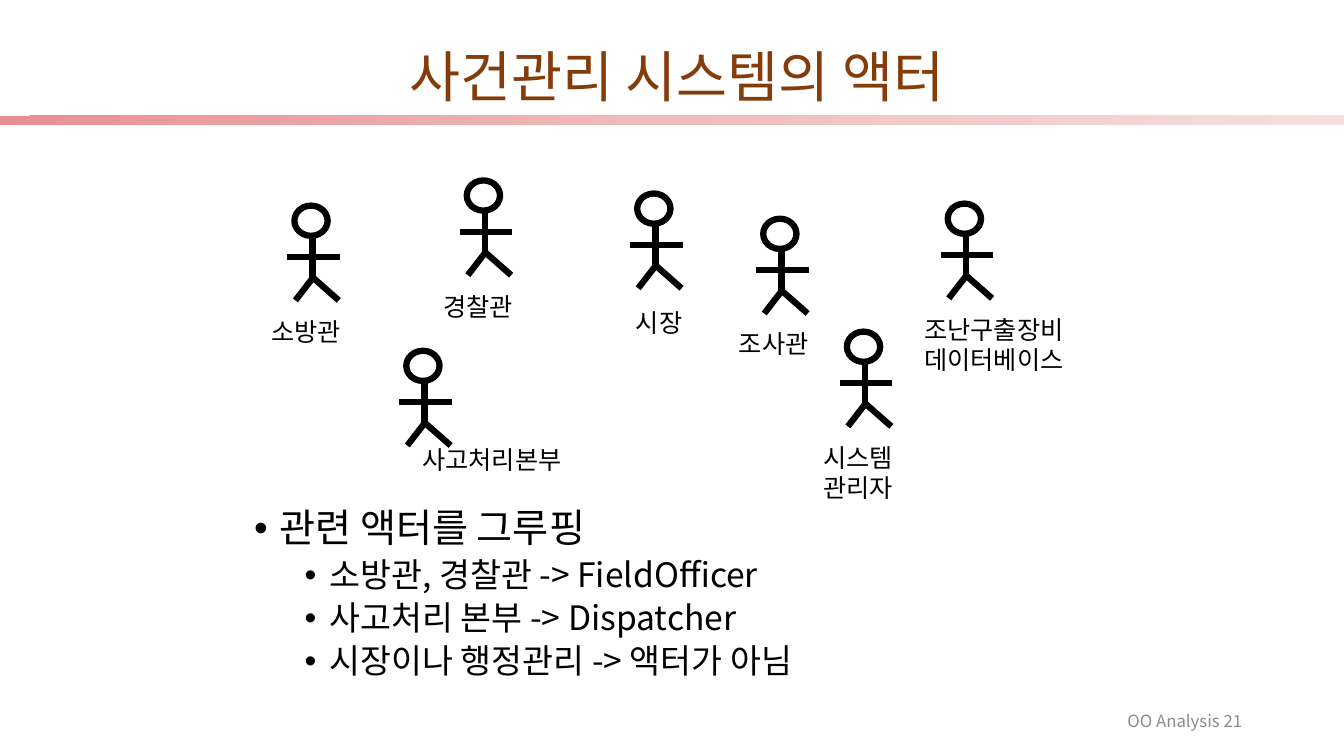
"""Build a slide of stick-figure actors with a grouping list below."""
from copy import deepcopy

from lxml import etree
from pptx import Presentation
from pptx import util as u
from pptx.dml.color import RGBColor
from pptx.enum import shapes, text
from pptx.oxml.ns import qn

W, H = 13.33, 7.5
SANS, LABEL = "Noto Sans CJK KR", "Karla"
TITLE = "사건관리 시스템의 액터"
FOOTER = "OO Analysis 21"
BAND = ["E98F8F", "EFBCBC", "F7DEDE"]
BULLETS = [
    (0, "관련 액터를 그루핑"),
    (1, "소방관, 경찰관 -> FieldOfficer"),
    (1, "사고처리 본부 -> Dispatcher"),
    (1, "시장이나 행정관리 -> 액터가 아님"),
]
LEVELS = [(28, 10, 0.25), (24, 5, 0.75)]
ACTORS = [
    ((2.85, 2.04), (2.59, 3.09, 0.95), ["소방관"]),
    ((4.56, 1.79), (4.3, 2.84, 0.95), ["경찰관"]),
    ((3.96, 3.48), (4.09, 4.36, 1.7), ["사고처리본부"]),
    ((6.25, 1.92), (6.21, 3, 0.7), ["시장"]),
    ((7.5, 2.17), (7.23, 3.21, 0.95), ["조사관"]),
    ((9.33, 2.02), (9.07, 3.07, 1.7), ["조난구출장비", "데이터베이스"]),
    ((8.33, 3.29), (8.07, 4.34, 0.95), ["시스템", "관리자"]),
]
HEAD = (0.07, 0, 0.33, 0.3)
LIMBS = [
    (0, 0.51, 0.52, 0.51),
    (0.25, 0.31, 0.25, 0.75),
    (0.25, 0.72, 0.08, 0.94),
    (0.26, 0.72, 0.51, 0.94),
]


def rgb(value):
    return RGBColor.from_string(value)


def inches(*values):
    return [u.Inches(v) for v in values]


def place(sp, *box):
    sp.left, sp.top, sp.width, sp.height = inches(*box)


def style(p, size, name, color="000000"):
    p.font.size, p.font.name = u.Pt(size), name
    p.font.color.rgb = rgb(color)
    props = p._p.pPr.find(qn("a:defRPr"))
    etree.SubElement(props, qn("a:ea")).set("typeface", name)
    return props


def stroke(sp):
    sp.line.color.rgb = rgb("000000")
    sp.line.width = u.Pt(4.5)


def add_band(s):
    sp = s.shapes.add_shape(shapes.MSO_SHAPE.RECTANGLE, *inches(0, 1.15, W, 0.09))
    sp.shadow.inherit = False
    sp.line.fill.background()
    sp.fill.gradient()
    sp.fill.gradient_angle = 315
    stops = sp._element.spPr.find(qn("a:gradFill")).find(qn("a:gsLst"))
    stops.insert(1, deepcopy(stops[0]))
    for i, (stop, color) in enumerate(zip(sp.fill.gradient_stops, BAND)):
        stop.position = i / 2
        stop.color.rgb = rgb(color)


def add_title(s):
    sp = s.shapes.title
    place(sp, 0.6, 0.48, 12.22, 0.61)
    tf = sp.text_frame
    tf.text = TITLE
    tf.auto_size = text.MSO_AUTO_SIZE.NONE
    tf.vertical_anchor = text.MSO_ANCHOR.MIDDLE
    p = tf.paragraphs[0]
    p.alignment, p.line_spacing = text.PP_ALIGN.CENTER, 0.9
    style(p, 39.6, SANS, "843C0B")


def add_bullets(s):
    sp = s.placeholders[1]
    place(sp, 2.42, 5, 8.5, 1.83)
    tf = sp.text_frame
    tf.text = "\n".join(line for _, line in BULLETS)
    tf.auto_size = text.MSO_AUTO_SIZE.NONE
    for p, (level, _) in zip(tf.paragraphs, BULLETS):
        size, before, margin = LEVELS[level]
        p.level, p.line_spacing, p.space_before = level, 0.9, u.Pt(before)
        props = style(p, size, SANS)
        p._p.pPr.set("marL", str(u.Inches(margin)))
        p._p.pPr.set("indent", str(u.Inches(-0.25)))
        bullet = etree.Element(qn("a:buChar"))
        bullet.set("char", "•")
        props.addprevious(bullet)


def add_actor(s, origin, label, lines):
    x, y = origin
    grp = s.shapes.add_group_shape()
    dx, dy, w, h = HEAD
    head = grp.shapes.add_shape(shapes.MSO_SHAPE.OVAL, *inches(x + dx, y + dy, w, h))
    head.shadow.inherit = False
    head.fill.solid()
    head.fill.fore_color.rgb = rgb("FFFFFF")
    stroke(head)
    for x1, y1, x2, y2 in LIMBS:
        limb = grp.shapes.add_connector(
            shapes.MSO_CONNECTOR.STRAIGHT, *inches(x + x1, y + y1, x + x2, y + y2))
        stroke(limb)
        etree.SubElement(limb._element.spPr, qn("a:effectLst"))
    left, top, width = label
    tf = s.shapes.add_textbox(*inches(left, top, width, 0.1 + 0.3 * len(lines))).text_frame
    tf.text = "\n".join(lines)
    tf.word_wrap = False
    tf.auto_size = text.MSO_AUTO_SIZE.SHAPE_TO_FIT_TEXT
    for p in tf.paragraphs:
        style(p, 18, LABEL)


def add_footer(s):
    tf = s.shapes.add_textbox(*inches(9.42, 6.95, 3, 0.4)).text_frame
    tf.text = FOOTER
    tf.word_wrap = True
    tf.vertical_anchor = text.MSO_ANCHOR.MIDDLE
    p = tf.paragraphs[0]
    p.alignment = text.PP_ALIGN.RIGHT
    style(p, 12, SANS, "8C8C8C")


def main():
    prs = Presentation()
    prs.slide_width, prs.slide_height = inches(W, H)
    s = prs.slides.add_slide(prs.slide_layouts[1])
    add_band(s)
    add_title(s)
    add_bullets(s)
    for actor in ACTORS:
        add_actor(s, *actor)
    add_footer(s)
    prs.save("out.pptx")


if __name__ == "__main__":
    main()
